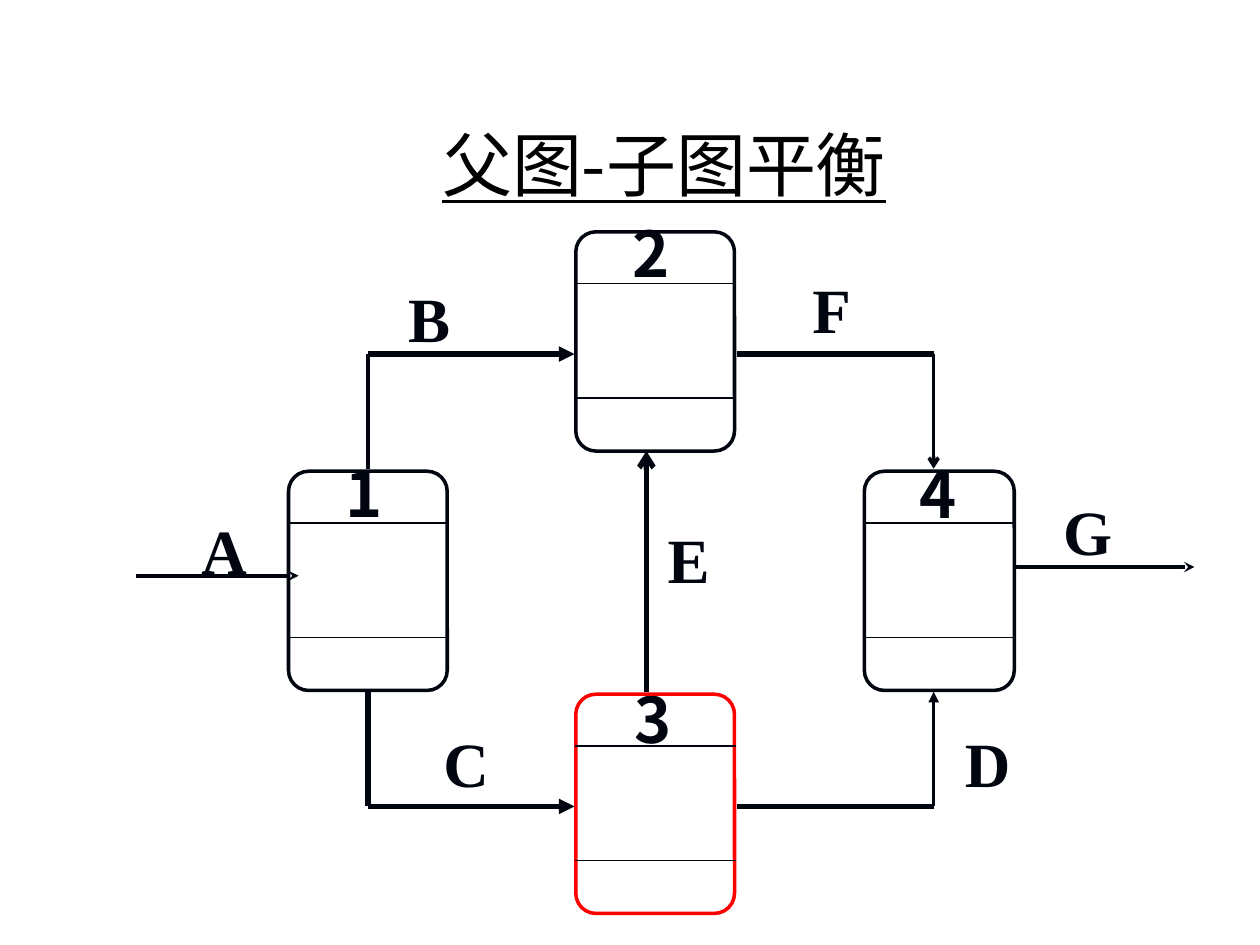
from dataclasses import dataclass
from typing import Any, Optional

from lxml import etree
from pptx import Presentation
from pptx import util as u
from pptx.dml.color import RGBColor
from pptx.enum import shapes, text
from pptx.oxml import ns


@dataclass(frozen=True)
class Theme:
    ink: RGBColor = RGBColor(0x01, 0x05, 0x0F)
    title: RGBColor = RGBColor(0, 0, 0)
    highlight: RGBColor = RGBColor(0xFF, 0, 0)
    latin: str = "Times New Roman"
    cjk: str = "Noto Sans CJK SC"
    title_size: int = 40
    label_size: int = 36
    rule: int = 1
    outline: int = 2
    heavy: int = 3


@dataclass(frozen=True)
class Process:
    number: str
    left: float
    top: float
    width: float
    number_left: float
    number_top: float
    color: RGBColor


@dataclass(frozen=True)
class Flow:
    start: tuple[float, float]
    end: tuple[float, float]
    weight: int
    arrow: Optional[str] = None


@dataclass(frozen=True)
class Label:
    name: str
    left: float
    top: float


THEME = Theme()
PROCESS_HEIGHT = 1.74
CORNER_RADIUS = 0.16
RULE_OFFSETS = (0.41, 1.32)
RULE_OVERHANG = 0.01

# Columns and rows shared by the flows
LEFT_X, RIGHT_X, MIDDLE_X = 2.92, 7.41, 5.13
MIDDLE_LEFT, MIDDLE_RIGHT = 4.56, 5.85
UPPER_Y, LOWER_Y = 2.81, 6.4
SIDE_TOP, SIDE_BOTTOM = 3.72, 5.49

PROCESSES = (
    Process("1", 2.29, 3.74, 1.26, 2.64, 3.56, THEME.ink),
    Process("4", 6.86, 3.74, 1.19, 7.2, 3.57, THEME.ink),
    Process("2", 4.57, 1.84, 1.26, 4.92, 1.65, THEME.ink),
    Process("3", 4.57, 5.51, 1.26, 4.94, 5.35, THEME.highlight),
)
FLOWS = (
    Flow((1.08, 4.57), (2.37, 4.57), THEME.outline, "stealth"),
    Flow((8.06, 4.5), (9.48, 4.5), THEME.outline, "stealth"),
    Flow((LEFT_X, SIDE_BOTTOM), (LEFT_X, LOWER_Y), THEME.heavy),
    Flow((LEFT_X, LOWER_Y), (MIDDLE_LEFT, LOWER_Y), THEME.heavy, "triangle"),
    Flow((LEFT_X, UPPER_Y), (LEFT_X, SIDE_TOP), THEME.outline),
    Flow((LEFT_X, UPPER_Y), (MIDDLE_LEFT, UPPER_Y), THEME.heavy, "triangle"),
    Flow((MIDDLE_RIGHT, UPPER_Y), (RIGHT_X, UPPER_Y), THEME.heavy),
    Flow((RIGHT_X, UPPER_Y), (RIGHT_X, SIDE_TOP), THEME.outline, "arrow"),
    Flow((MIDDLE_RIGHT, LOWER_Y), (RIGHT_X, LOWER_Y), THEME.heavy),
    Flow((RIGHT_X, LOWER_Y), (RIGHT_X, SIDE_BOTTOM), THEME.outline, "triangle"),
    Flow((MIDDLE_X, SIDE_BOTTOM), (MIDDLE_X, 3.58), THEME.heavy, "arrow"),
)
LABELS = (
    Label("A", 1.5, 4.01),
    Label("B", 3.14, 2.17),
    Label("C", 3.42, 5.7),
    Label("D", 7.56, 5.7),
    Label("E", 5.2, 4.08),
    Label("F", 6.35, 2.1),
    Label("G", 8.34, 3.86),
)


def apply_format(target: Any, values: dict[str, Any]) -> None:
    for name, value in values.items():
        setattr(target, name, value)


def write_run(paragraph: Any, words: str, color: RGBColor, values: dict[str, Any]) -> None:
    run = paragraph.add_run()
    run.text = words
    apply_format(run.font, values)
    run.font.color.rgb = color
    east_asian = etree.SubElement(run.font._element, ns.qn("a:ea"))
    east_asian.set("typeface", values["name"])


def add_title(slide: Any, words: str) -> None:
    title = slide.shapes.title
    apply_format(title, {"left": u.Inches(1.32), "top": u.Inches(0.67),
                         "width": u.Inches(7.9), "height": u.Inches(1.25)})
    title.text_frame.vertical_anchor = text.MSO_ANCHOR.MIDDLE
    paragraph = title.text_frame.paragraphs[0]
    paragraph.alignment = text.PP_ALIGN.CENTER
    write_run(paragraph, words, THEME.title,
              {"name": THEME.cjk, "size": u.Pt(THEME.title_size), "underline": True})


def add_label(slide: Any, words: str, left: float, top: float, width: float, font: str) -> None:
    box = slide.shapes.add_textbox(u.Inches(left), u.Inches(top), u.Inches(width), u.Inches(0.7))
    box.text_frame.word_wrap = True
    write_run(box.text_frame.paragraphs[0], words, THEME.ink,
              {"name": font, "size": u.Pt(THEME.label_size), "bold": True})


def add_flow(slide: Any, flow: Flow) -> None:
    points = [u.Inches(value) for value in (*flow.start, *flow.end)]
    connector = slide.shapes.add_connector(shapes.MSO_CONNECTOR.STRAIGHT, *points)
    connector.line.color.rgb = THEME.ink
    connector.line.width = u.Pt(flow.weight)
    if flow.arrow:
        tail = etree.SubElement(connector.line._get_or_add_ln(), ns.qn("a:tailEnd"))
        tail.set("type", flow.arrow)
    etree.SubElement(connector._element.spPr, ns.qn("a:effectLst"))


def add_process(slide: Any, process: Process) -> None:
    add_label(slide, process.number, process.number_left, process.number_top, 0.36, THEME.cjk)
    bounds = (process.left, process.top, process.width, PROCESS_HEIGHT)
    shape = slide.shapes.add_shape(shapes.MSO_SHAPE.ROUNDED_RECTANGLE,
                                   *[u.Inches(value) for value in bounds])
    shape.adjustments[0] = CORNER_RADIUS / process.width
    shape.shadow.inherit = False
    shape.fill.background()
    shape.line.color.rgb = process.color
    shape.line.width = u.Pt(THEME.outline)
    for offset in RULE_OFFSETS:
        y = process.top + offset
        add_flow(slide, Flow((process.left - RULE_OVERHANG, y),
                             (process.left + process.width + RULE_OVERHANG, y), THEME.rule))


def main() -> None:
    presentation = Presentation()
    apply_format(presentation, {"slide_width": u.Inches(10), "slide_height": u.Inches(7.5)})
    slide = presentation.slides.add_slide(presentation.slide_layouts.get_by_name("Title Only"))

    add_title(slide, "父图-子图平衡")
    # Numbered processes, then the data flows between them and their names
    for process in PROCESSES:
        add_process(slide, process)
    for flow in FLOWS:
        add_flow(slide, flow)
    for label in LABELS:
        add_label(slide, label.name, label.left, label.top, 0.43, THEME.latin)

    presentation.save("out.pptx")


if __name__ == "__main__":
    main()
